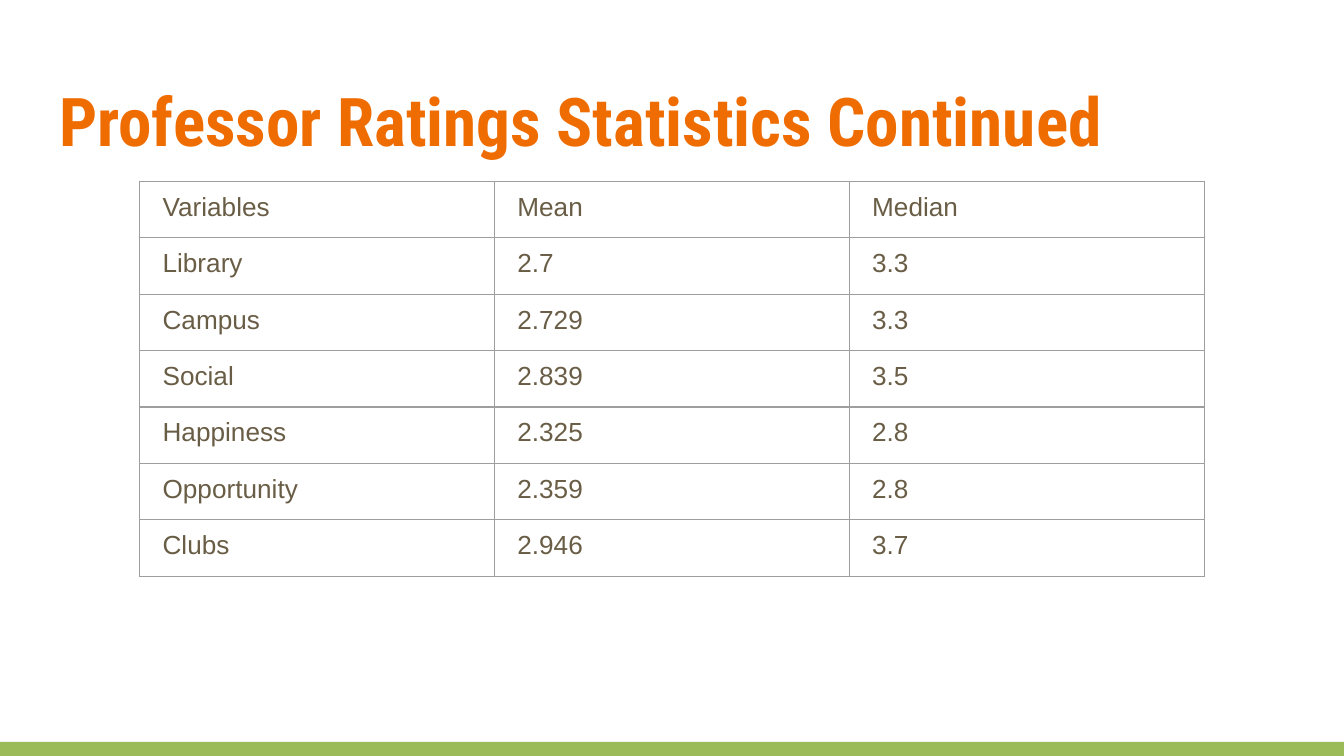
import pptx
import pptx.dml.color
import pptx.enum.shapes
import pptx.enum.text
import pptx.oxml
import pptx.oxml.ns
import pptx.util
from pptx.util import Inches

RGBColor = pptx.dml.color.RGBColor
ORANGE = RGBColor(0xEF, 0x6C, 0x00)
BROWN = RGBColor(0x69, 0x5D, 0x46)
GREEN = RGBColor(0x9B, 0xBB, 0x59)
GRAY = RGBColor(0x9E, 0x9E, 0x9E)

TITLE = "Professor Ratings Statistics Continued"
ROWS = [
    ("Variables", "Mean", "Median"),
    ("Library", "2.7", "3.3"),
    ("Campus", "2.729", "3.3"),
    ("Social", "2.839", "3.5"),
    ("Happiness", "2.325", "2.8"),
    ("Opportunity", "2.359", "2.8"),
    ("Clubs", "2.946", "3.7"),
]
COLUMN_WIDTH = 2.64
ROW_HEIGHT = 0.42


def style_font(paragraph, name, size, color, bold=False):
    paragraph.font.name = name
    paragraph.font.size = pptx.util.Pt(size)
    paragraph.font.color.rgb = color
    paragraph.font.bold = bold


def add_borders(cell):
    """Line all four sides; borders must precede the fill in the cell XML."""
    properties = cell._tc.get_or_add_tcPr()
    for position, side in enumerate(("lnL", "lnR", "lnT", "lnB")):
        properties.insert(position, pptx.oxml.parse_xml(
            f'<a:{side} {pptx.oxml.ns.nsdecls("a")} w="{pptx.util.Pt(0.75)}">'
            f'<a:solidFill><a:srgbClr val="{GRAY}"/></a:solidFill></a:{side}>'))


def fill_cell(cell, text):
    cell.fill.background()
    cell.margin_left = cell.margin_right = Inches(0.07)
    cell.margin_top = cell.margin_bottom = Inches(0.05)
    cell.text = text
    paragraph = cell.text_frame.paragraphs[0]
    paragraph.line_spacing = 1.15
    indent = paragraph._p.get_or_add_pPr()
    indent.set("marL", str(Inches(0.1)))
    indent.set("indent", "0")
    style_font(paragraph, "Arial", 14, BROWN)
    add_borders(cell)


deck = pptx.Presentation()
deck.slide_width = Inches(10)
deck.slide_height = deck.slide_width * 9 // 16
slide = deck.slides.add_slide(deck.slide_layouts[5])

bar_top = Inches(5.52)
footer_bar = slide.shapes.add_shape(
    pptx.enum.shapes.MSO_SHAPE.RECTANGLE,
    0, bar_top, deck.slide_width, deck.slide_height - bar_top)
footer_bar.shadow.inherit = False
footer_bar.fill.solid()
footer_bar.fill.fore_color.rgb = GREEN
footer_bar.line.fill.background()

title = slide.shapes.title
title.left, title.top = Inches(0.34), Inches(0.49)
title.width, title.height = Inches(9.32), Inches(0.77)
frame = title.text_frame
frame.text = TITLE
frame.word_wrap = True
frame.auto_size = pptx.enum.text.MSO_AUTO_SIZE.NONE
frame.vertical_anchor = pptx.enum.text.MSO_ANCHOR.TOP
frame.margin_left = frame.margin_right = Inches(0.1)
frame.margin_top = frame.margin_bottom = Inches(0.1)
heading = frame.paragraphs[0]
heading.alignment = pptx.enum.text.PP_ALIGN.LEFT
style_font(heading, "Roboto Condensed", 36, ORANGE, bold=True)

column_count = len(ROWS[0])
table = slide.shapes.add_table(
    len(ROWS), column_count, Inches(1.04), Inches(1.35),
    Inches(COLUMN_WIDTH * column_count), Inches(ROW_HEIGHT * len(ROWS))).table
table.first_row = table.horz_banding = False
for row_index, row in enumerate(ROWS):
    for column_index, text in enumerate(row):
        fill_cell(table.cell(row_index, column_index), text)

deck.save("out.pptx")
